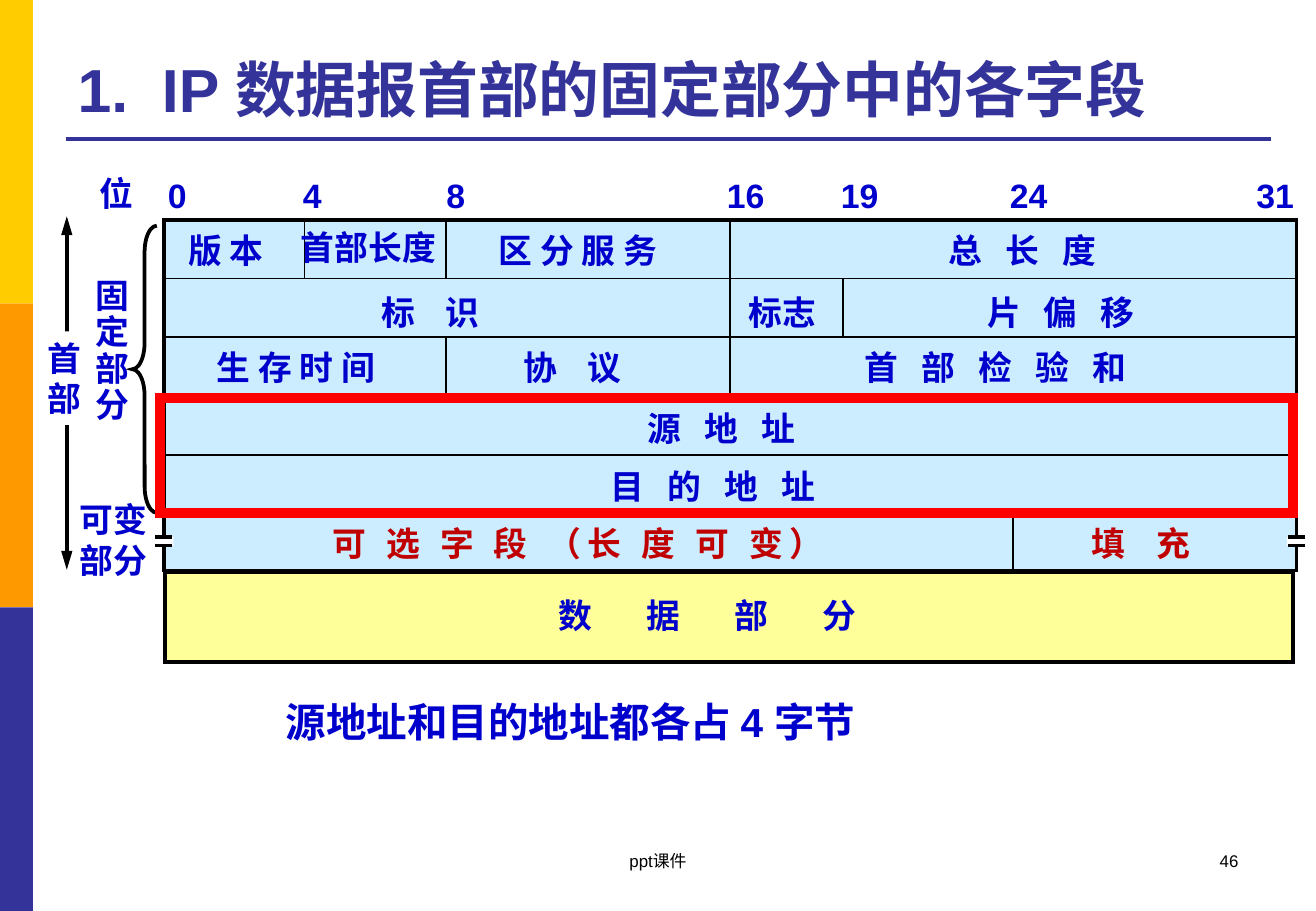
from dataclasses import dataclass
from typing import Optional

from lxml.etree import SubElement
from pptx import Presentation
from pptx.dml.color import RGBColor
from pptx.enum.shapes import MSO_CONNECTOR as CONN, MSO_SHAPE as SHAPE
from pptx.enum.text import MSO_ANCHOR as ANCHOR, PP_ALIGN as ALIGN
from pptx.oxml.ns import qn
from pptx.util import Emu, Inches, Pt

WHITE = RGBColor(0xFF, 0xFF, 0xFF)
BLACK = RGBColor(0x00, 0x00, 0x00)
GOLD = RGBColor(0xFF, 0xCC, 0x00)
ORANGE = RGBColor(0xFF, 0x99, 0x00)
INDIGO = RGBColor(0x33, 0x33, 0x99)
BLUE = RGBColor(0x00, 0x00, 0xCC)
DARK_RED = RGBColor(0xC0, 0x00, 0x00)
RED = RGBColor(0xFF, 0x00, 0x00)
SKY = RGBColor(0xCC, 0xEC, 0xFF)
YELLOW = RGBColor(0xFF, 0xFF, 0x99)

WIDTH, HEIGHT = Inches(10.83), Inches(7.5)
# The header grid: 32 bit columns and six rows
GRID_LEFT, GRID_TOP = Inches(1.34), Inches(1.81)
BIT, ROW = Inches(9.33) / 32, Inches(2.9) / 6
CHAR, LINE, INSET = Inches(0.28), Inches(0.33), Inches(0.1)
HALF_SPACE = 2.3  # points, half of a space at 20 pt


@dataclass(frozen=True)
class Label:
    """Text centred on a bit column; gap is the number of spaces between letters."""
    text: str
    row: float
    centre: float
    gap: float = 1
    color: RGBColor = BLUE
    fill: Optional[RGBColor] = None
    spacing: Optional[float] = None


@dataclass(frozen=True)
class Rule:
    """A grid line from (bit, row) to (bit, row)."""
    bit1: float
    row1: float
    bit2: float
    row2: float
    width: float = 1


@dataclass(frozen=True)
class Note:
    """A wrapped text box, placed in percent of the slide; tab too is a percent of its width."""
    text: str
    left: float
    top: float
    width: float
    height: float
    size: float
    color: RGBColor
    bold: bool
    align: ALIGN
    anchor: ANCHOR = ANCHOR.TOP
    tab: Optional[float] = None


FIELDS = [
    Label("版 本", 0, 1.78),
    Label("首部长度", -0.04, 5.8),
    Label("区 分 服 务", 0, 11.72),
    Label("总 长 度", 0, 24.26, 3),
    Label("标 识", 1.06, 7.55, 4),
    Label("标志", 1.06, 17.48),
    Label("片 偏 移", 1.06, 25.35, 3),
    Label("生 存 时 间", 2, 3.76),
    Label("协 议", 2, 11.56, 4),
    Label("首 部 检 验 和", 2, 23.5, 3),
    Label("源 地 址", 3.04, 15.76, 3),
    Label("目 的 地 址", 4.03, 15.53, 3),
    Label("可 选 字 段 （长 度 可 变）", 5, 11.72, 2.6, DARK_RED),
    Label("填 充", 5, 27.6, 4, DARK_RED),
    Label("数 据 部 分", 6.22, 15.37, 7),
]
BIT_MARKS = [Label(text, -0.93, centre) for text, centre in (
    ("0", 0.41), ("4", 4.22), ("8", 8.27), ("16", 16.45),
    ("19", 19.67), ("24", 24.44), ("31", 31.4))]
SIDE_LABELS = [
    Label("位", -0.97, -1.32),
    Label("固\n定\n部\n分", 0.85, -1.41, spacing=0.9),
    Label("可变\n部分", 4.59, -1.39),
    Label("首\n部", 1.84, -2.79, fill=WHITE),
]
RULES = [Rule(0, row, 32, row) for row in range(1, 6)] + [
    Rule(4, 0, 4, 1), Rule(8, 0, 8, 1), Rule(8, 2, 8, 3),
    Rule(16, 0, 16, 3), Rule(19.2, 1, 19.2, 2), Rule(24, 5, 24, 6)]
NOTES = [
    Note("1.\tIP 数据报首部的固定部分中的各字段", 5, 2.7, 91.5, 11.6, 36, INDIGO, True,
         ALIGN.LEFT, ANCHOR.BOTTOM, tab=6.4),
    Note("源地址和目的地址都各占 4 字节", 20.41, 75.87, 45.89, 6.8, 24, BLUE, True, ALIGN.CENTER),
    Note("ppt课件", 34.16, 92.67, 31.67, 6.67, 10, BLACK, False, ALIGN.CENTER),
    Note("46", 71.65, 92.67, 23.36, 6.67, 10, BLACK, False, ALIGN.RIGHT),
]


def x(bit: float) -> Emu:
    return Emu(round(GRID_LEFT + bit * BIT))


def y(row: float) -> Emu:
    return Emu(round(GRID_TOP + row * ROW))


def across(percent: float) -> Emu:
    return Emu(round(WIDTH * percent / 100))


def down(percent: float) -> Emu:
    return Emu(round(HEIGHT * percent / 100))


def add_box(s, kind: SHAPE, left: Emu, top: Emu, right: Emu, bottom: Emu,
            fill: Optional[RGBColor], line: Optional[RGBColor] = None, width: float = 1):
    sp = s.shapes.add_shape(kind, left, top, right - left, bottom - top)
    sp.shadow.inherit = False
    if fill is None:
        sp.fill.background()
    else:
        sp.fill.solid()
        sp.fill.fore_color.rgb = fill
    if line is None:
        sp.line.fill.background()
    else:
        sp.line.color.rgb = line
        sp.line.width = Pt(width)
        SubElement(sp.line._get_or_add_ln(), qn("a:miter"), lim="800000")
    return sp


def add_line(s, x1: Emu, y1: Emu, x2: Emu, y2: Emu, color: RGBColor, width: float,
             arrows: bool = False) -> None:
    cn = s.shapes.add_connector(CONN.STRAIGHT, x1, y1, x2, y2)
    cn.line.color.rgb = color
    cn.line.width = Pt(width)
    if arrows:
        for end in ("a:headEnd", "a:tailEnd"):
            SubElement(cn.line._get_or_add_ln(), qn(end), type="triangle", len="lg")
    SubElement(cn._element.spPr, qn("a:effectLst"))


def add_rule(s, rule: Rule) -> None:
    add_line(s, x(rule.bit1), y(rule.row1), x(rule.bit2), y(rule.row2), BLACK, rule.width)


def set_font(r, size: float, color: RGBColor, bold: bool) -> None:
    r.font.name, r.font.size, r.font.bold = "Arial", Pt(size), bold
    r.font.color.rgb = color


def add_label(s, label: Label) -> None:
    lines = label.text.split("\n")
    spread = HALF_SPACE * (label.gap - 1)
    width = round((CHAR + Pt(spread)) * max(map(len, lines)) + 2 * INSET)
    height = Inches(0.44) + LINE * (len(lines) - 1)
    sp = s.shapes.add_textbox(x(label.centre) - width // 2, y(label.row) + Inches(0.03),
                              width, height)
    if label.fill is not None:
        sp.fill.solid()
        sp.fill.fore_color.rgb = label.fill
    tf = sp.text_frame
    tf.word_wrap = False
    tf.text = label.text
    for p in tf.paragraphs:
        p.alignment = ALIGN.CENTER
        p.line_spacing = label.spacing
        for r in p.runs:
            set_font(r, 20, label.color, True)
            if spread:
                r.font._element.set("spc", str(round(spread * 100)))


def add_note(s, note: Note) -> None:
    sp = s.shapes.add_textbox(across(note.left), down(note.top),
                              across(note.width), down(note.height))
    tf = sp.text_frame
    tf.word_wrap = True
    tf.vertical_anchor = note.anchor
    tf.text = note.text
    p = tf.paragraphs[0]
    p.alignment = note.align
    if note.tab is not None:
        tabs = SubElement(p._p.get_or_add_pPr(), qn("a:tabLst"))
        SubElement(tabs, qn("a:tab"), pos=str(across(note.tab)), algn="l")
    set_font(p.runs[0], note.size, note.color, note.bold)


def add_break_mark(s, bit: float, row: float) -> None:
    """Two short bars over white, marking a row of variable length."""
    add_box(s, SHAPE.RECTANGLE, x(bit - 0.27), y(row), x(bit + 0.27), y(row + 0.15), WHITE)
    for bar in (row, row + 0.15):
        add_rule(s, Rule(bit - 0.24, bar, bit + 0.24, bar, 2))


def main() -> None:
    prs = Presentation()
    prs.slide_width, prs.slide_height = WIDTH, HEIGHT
    s = prs.slides.add_slide(prs.slide_layouts[6])
    for i, color in enumerate((GOLD, ORANGE, INDIGO)):
        add_box(s, SHAPE.RECTANGLE, across(0), down(i * 100 / 3),
                across(2.5), down((i + 1) * 100 / 3), color)
    add_line(s, across(5), down(15.3), across(96.6), down(15.3), INDIGO, 2.25)
    add_box(s, SHAPE.RECTANGLE, x(0.03), y(0), x(32), y(5.97), SKY, BLACK, 2)
    add_box(s, SHAPE.RECTANGLE, x(0.07), y(6), x(31.9), y(7.53), YELLOW, BLACK, 2.25)
    for rule in RULES:
        add_rule(s, rule)
    add_line(s, x(-2.71), y(-0.06), x(-2.71), y(5.96), BLACK, 2.25, arrows=True)
    for label in FIELDS + BIT_MARKS + SIDE_LABELS:
        add_label(s, label)
    for bit in (0.03, 32):
        add_break_mark(s, bit, 5.4)
    brace = add_box(s, SHAPE.LEFT_BRACE, x(-0.86), y(0.1), x(-0.17), y(4.99), None, BLACK, 2.25)
    brace.adjustments[0] = 1.08
    add_box(s, SHAPE.RECTANGLE, x(-0.07), y(3.04), x(31.9), y(5), None, RED, 6)
    for note in NOTES:
        add_note(s, note)
    prs.save("out.pptx")


if __name__ == "__main__":
    main()
